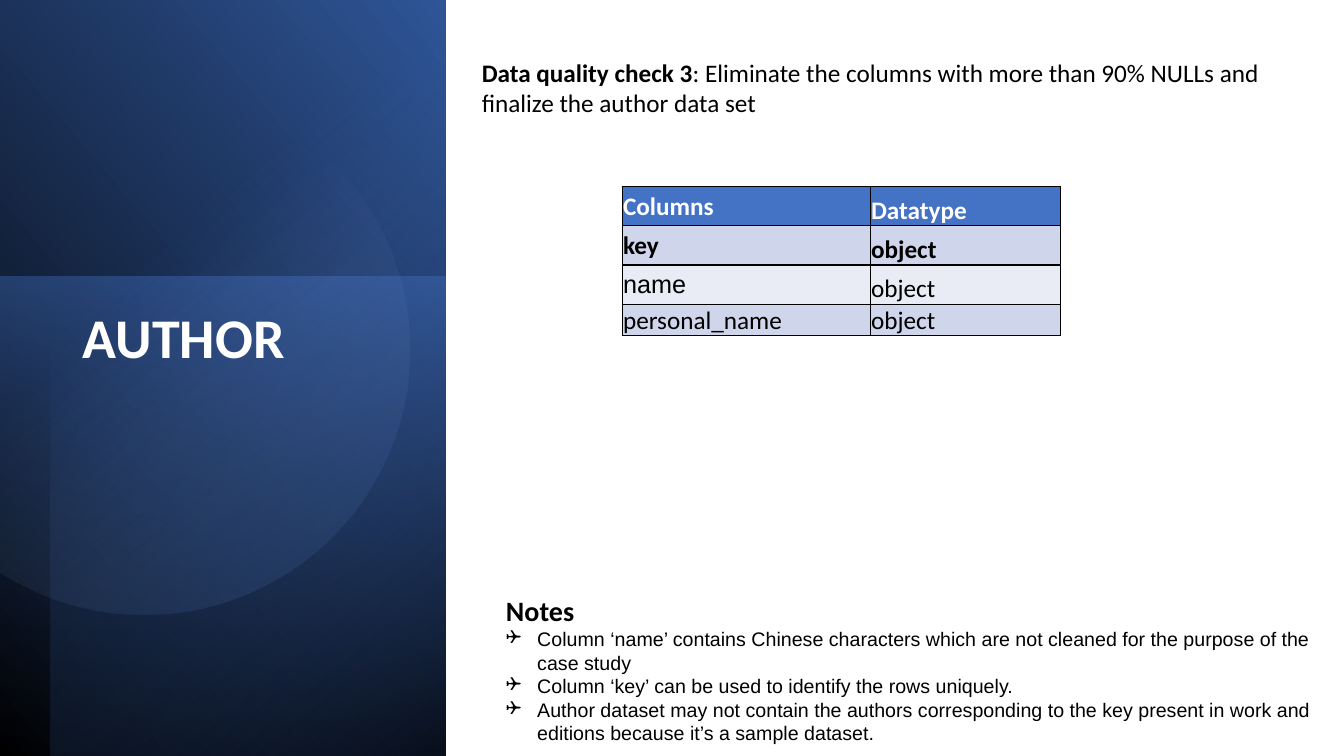
"""Build the AUTHOR data quality slide."""
from math import acos, cos, degrees, radians, sin

from lxml.etree import SubElement
from pptx import Presentation
from pptx.dml.color import RGBColor
from pptx.enum.shapes import MSO_SHAPE as Preset
from pptx.enum.text import MSO_ANCHOR as Anchor, MSO_AUTO_SIZE as AutoSize
from pptx.oxml.ns import qn
from pptx.util import Inches, Pt

COLORS = {
    "black": "000000", "white": "FFFFFF", "blue": "4472C4", "deep": "2F5597",
    "navy": "203864", "pale": "8FAADC", "band": "CFD5EA", "light": "E9EBF5",
}


def paint_gradient(shape, angle, stops):
    shape.shadow.inherit = False
    shape.line.fill.background()
    shape.fill.gradient()
    shape.fill.gradient_angle = 360 - angle
    for stop, (position, color, _) in zip(shape.fill.gradient_stops, stops):
        stop.position = position / 100
        stop.color.rgb = RGBColor.from_string(COLORS[color])
    tints = shape._element.spPr.iter(qn("a:srgbClr"))
    for tint, (_, _, opacity) in zip(tints, stops):
        SubElement(tint, qn("a:alpha"), val=str(opacity * 1000))


def style(font, size, color="black", bold=False, name="Calibri"):
    font.size, font.bold, font.name = Pt(size), bold, name
    font.color.rgb = RGBColor.from_string(COLORS[color])


prs = Presentation()
prs.slide_width, prs.slide_height = Inches(13.33), Inches(7.5)
slide = prs.slides.add_slide(prs.slide_layouts[5])
shapes = slide.shapes

panels = [
    ((-1.55, 1.55, 7.52, 4.42), 90, True, 310, [(0, "black", 100), (100, "deep", 100)]),
    ((-0.17, 2.91, 4.76, 4.42), 270, False, 190, [(0, "blue", 50), (100, "navy", 0)]),
    ((-1.29, 1.79, 7.5, 3.92), 270, True, 220, [(0, "black", 59), (69, "blue", 0)]),
]
for box, rotation, flipped, angle, stops in panels:
    panel = shapes.add_shape(Preset.RECTANGLE, *map(Inches, box))
    panel.rotation = rotation
    if flipped:
        panel._element.spPr.find(qn("a:xfrm")).set("flipH", "1")
    paint_gradient(panel, angle, stops)

center_x, center_y, radius = 1.43, 3.47, 2.63
limit = degrees(acos(-center_x / radius))
steps = 120
arc = []
for step in range(steps + 1):
    turn = radians(limit * (2 * step / steps - 1))
    arc.append((Inches(center_x + radius * cos(turn)), Inches(center_y + radius * sin(turn))))
outline = shapes.build_freeform(*arc[0])
outline.add_line_segments(arc[1:], close=True)
paint_gradient(outline.convert_to_shape(), 51.6, [(39, "pale", 0), (100, "deep", 26)])

title = shapes.title
shapes._spTree.append(title._element)
title.left, title.top, title.width, title.height = map(Inches, (0.72, 3.03, 3.15, 3.36))
title.text_frame.text = "AUTHOR"
title.text_frame.vertical_anchor = Anchor.TOP
title.text_frame.word_wrap = True
heading = title.text_frame.paragraphs[0]
heading.alignment = 1
heading.line_spacing = 0.9
style(heading.font, 40, "white", True)

check = shapes.add_textbox(*map(Inches, (4.68, 0.52, 8.65, 0.71))).text_frame
check.word_wrap = True
check.auto_size = AutoSize.SHAPE_TO_FIT_TEXT
check_line = check.paragraphs[0]
style(check_line.font, 18)
check_label = check_line.add_run()
check_label.text = "Data quality check 3"
check_label.font.bold = True
check_line.add_run().text = (
    ": Eliminate the columns with more than 90% NULLs and finalize the author data set"
)

rows = [
    ("Columns", "Datatype", "blue", "white", True, 0.39),
    ("key", "object", "band", "black", True, 0.39),
    ("name", "object", "light", "black", False, 0.39),
    ("personal_name", "object", "band", "black", False, 0.3),
]
table = shapes.add_table(len(rows), 2, *map(Inches, (6.17, 1.85, 4.35, 1.47))).table
table.columns[0].width, table.columns[1].width = Inches(2.46), Inches(1.89)
for row, (column, datatype, fill, color, bold, height) in enumerate(rows):
    table.rows[row].height = Inches(height)
    for col, (text, anchor) in enumerate([(column, Anchor.MIDDLE), (datatype, Anchor.BOTTOM)]):
        cell = table.cell(row, col)
        cell.text = text
        cell.vertical_anchor = anchor
        cell.margin_left = cell.margin_top = cell.margin_right = Inches(0.01)
        cell.margin_bottom = 0
        style(cell.text_frame.paragraphs[0].font, 18, color, bold,
              "Arial" if text == "name" else "Calibri")
        props = cell._tc.get_or_add_tcPr()
        for side in ("lnL", "lnR", "lnT", "lnB"):
            border = SubElement(props, qn(f"a:{side}"), w=str(Pt(1)))
            ink = SubElement(border, qn("a:solidFill"))
            SubElement(ink, qn("a:srgbClr"), val=COLORS["black"])
        cell.fill.solid()
        cell.fill.fore_color.rgb = RGBColor.from_string(COLORS[fill])

notes = shapes.add_textbox(*map(Inches, (4.92, 5.84, 8.32, 1.92))).text_frame
notes.word_wrap = True
notes.auto_size = AutoSize.SHAPE_TO_FIT_TEXT
notes.text = "Notes"
style(notes.paragraphs[0].font, 20, bold=True)
for remark in (
    "Column ‘name’ contains Chinese characters which are not cleaned for the purpose of the case study",
    "Column ‘key’ can be used to identify the rows uniquely.",
    "Author dataset may not contain the authors corresponding to the key present in work and "
    "editions because it’s a sample dataset.",
):
    item = notes.add_paragraph()
    item.text = remark
    props = item._p.get_or_add_pPr()
    props.set("marL", str(Inches(0.31)))
    props.set("indent", str(Inches(-0.31)))
    SubElement(props, qn("a:buFont"), typeface="Wingdings")
    SubElement(props, qn("a:buChar"), char="❑")
    style(item.font, 14, name="Arial")

prs.save("out.pptx")
